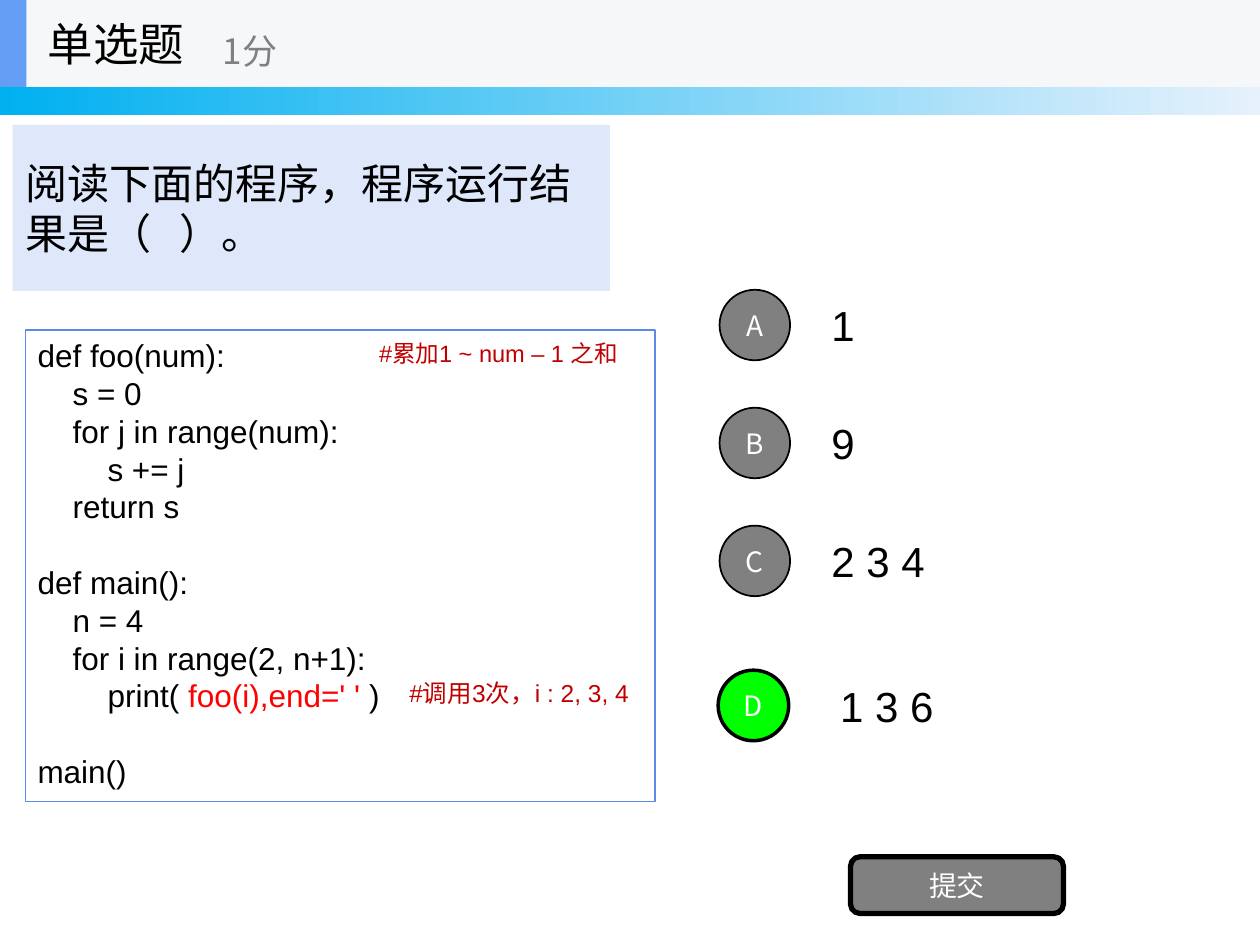
from pptx import Presentation
from pptx.dml.color import RGBColor
from pptx.enum.shapes import MSO_SHAPE as Form
from pptx.enum.text import MSO_ANCHOR as Anchor, MSO_AUTO_SIZE as Auto, PP_ALIGN as Align
from pptx.util import Pt
from lxml.etree import SubElement
from pptx.oxml.ns import qn

SANS = "Noto Sans CJK SC"
LATIN = "Arial"
CODE = [
    (0, 0, ["def foo(num):"]),
    (1, 0, ["s = 0"]),
    (1, 0, ["for j in range(num):"]),
    (2, 0, ["s += j"]),
    (1, 0, ["return s"]),
    (0, 1, ["def main():"]),
    (1, 0, ["n = 4"]),
    (1, 0, ["for i in range(2, n+1):"]),
    (2, 0, ["print( ", "foo(i),end=' '", " )"]),
    (0, 1, ["main()"]),
]


def tint(code):
    return RGBColor.from_string(code)


class Quiz:
    """Draws the parts of a quiz slide in one style."""

    def __init__(self, deck):
        self.slide = deck.slides.add_slide(deck.slide_layouts[5])
        self.shapes = self.slide.shapes

    def style(self, para, size, face, hue, align=Align.LEFT):
        para.alignment = align
        font = para.font
        font.size, font.name, font.bold = Pt(size), face, False
        font.color.rgb = tint(hue)
        for run in para.runs:
            east = SubElement(run._r.get_or_add_rPr(), qn("a:ea"))
            east.set("typeface", SANS)

    def letter(self, shape, text, size, face=SANS, hue="000000",
               align=Align.LEFT, anchor=Anchor.MIDDLE):
        frame = shape.text_frame
        frame.word_wrap = True
        frame.auto_size = Auto.NONE
        frame.vertical_anchor = anchor
        frame.text = text
        self.style(frame.paragraphs[0], size, face, hue, align)

    def title(self, text, box, fill):
        shape = self.shapes.title
        shape.left, shape.top, shape.width, shape.height = map(Pt, box)
        shape.fill.solid()
        shape.fill.fore_color.rgb = tint(fill)
        self.letter(shape, text, 24)

    def shape(self, box, fill=None, line=None, width=1, form=Form.RECTANGLE):
        shape = self.shapes.add_shape(form, *map(Pt, box))
        shape.shadow.inherit = False
        if fill:
            shape.fill.solid()
            shape.fill.fore_color.rgb = tint(fill)
        else:
            shape.fill.background()
        if line:
            shape.line.color.rgb = tint(line)
            shape.line.width = Pt(width)
        else:
            shape.line.fill.background()
        return shape

    def fade(self, box, start, end):
        fill = self.shape(box).fill
        fill.gradient()
        fill.gradient_angle = 0
        for stop, hue in zip(fill.gradient_stops, (start, end)):
            stop.color.rgb = tint(hue)

    def label(self, text, box, size, **look):
        self.letter(self.shapes.add_textbox(*map(Pt, box)), text, size, **look)

    def button(self, text, box, form, fill="808080", width=1):
        shape = self.shape(box, fill, "000000", width, form)
        self.letter(shape, text, 16, hue="FFFFFF", align=Align.CENTER)

    def choice(self, mark, text, left, top, gap, fill="808080", width=1):
        self.button(mark, (left, top, 40.3, 40.3), Form.OVAL, fill, width)
        self.label(text, (left + gap, top - 5, 227.5, 50.4), 24, face=LATIN)

    def code(self, lines, box, line):
        frame = self.shape(box, line=line, width=0.75).text_frame
        frame.word_wrap = True
        frame.vertical_anchor = Anchor.TOP
        for at, (depth, blank, parts) in enumerate(lines):
            para = frame.add_paragraph() if at else frame.paragraphs[0]
            for part in parts:
                para.add_run().text = part
            self.style(para, 18, LATIN, "000000")
            para.line_spacing = Pt(21.6)
            para.space_before = Pt(21.6 * blank)
            para._p.get_or_add_pPr().set("marL", str(Pt(20 * depth)))
            if len(parts) > 1:
                para.runs[1].font.color.rgb = tint("FF0000")


def main():
    deck = Presentation()
    deck.slide_width, deck.slide_height = Pt(720), Pt(540)
    quiz = Quiz(deck)
    quiz.title("阅读下面的程序，程序运行结果是（   ）。", (7.2, 71.3, 341.3, 95), "DEE8FA")
    quiz.fade((0, 0, 720, 66), "00B0F0", "E6F1FC")
    for row, (mark, text) in enumerate(zip("ABC", ("1", "9", "2 3 4"))):
        quiz.choice(mark, text, 411.2, 165.6 + 67.4 * row, 56.8)
    quiz.choice("D", "1 3 6", 410.4, 383, 62.6, "00FF00", 2)
    quiz.button("提交", (486, 489.6, 121.7, 32.4), Form.ROUNDED_RECTANGLE, width=3)
    quiz.code(CODE, (14.4, 188.6, 360, 269.3), "5C8AE7")
    note = dict(face=LATIN, hue="C00000", anchor=Anchor.TOP)
    quiz.label("#累加1 ~ num – 1 之和", (209.5, 190, 152.6, 24), 13.5, **note)
    quiz.label("#调用3次，i : 2, 3, 4", (226.8, 383.8, 161.3, 24.5), 14, **note)
    quiz.shape((0, 0, 720, 49.7), "F6F7F8")
    quiz.shape((0, 0, 15.1, 49.7), "639EF4")
    quiz.label("单选题", (20.2, 0, 149.8, 49.7), 26)
    quiz.label("1分", (120.2, 8.6, 180, 40.3), 20, hue="808080")
    deck.save("out.pptx")


if __name__ == "__main__":
    main()
